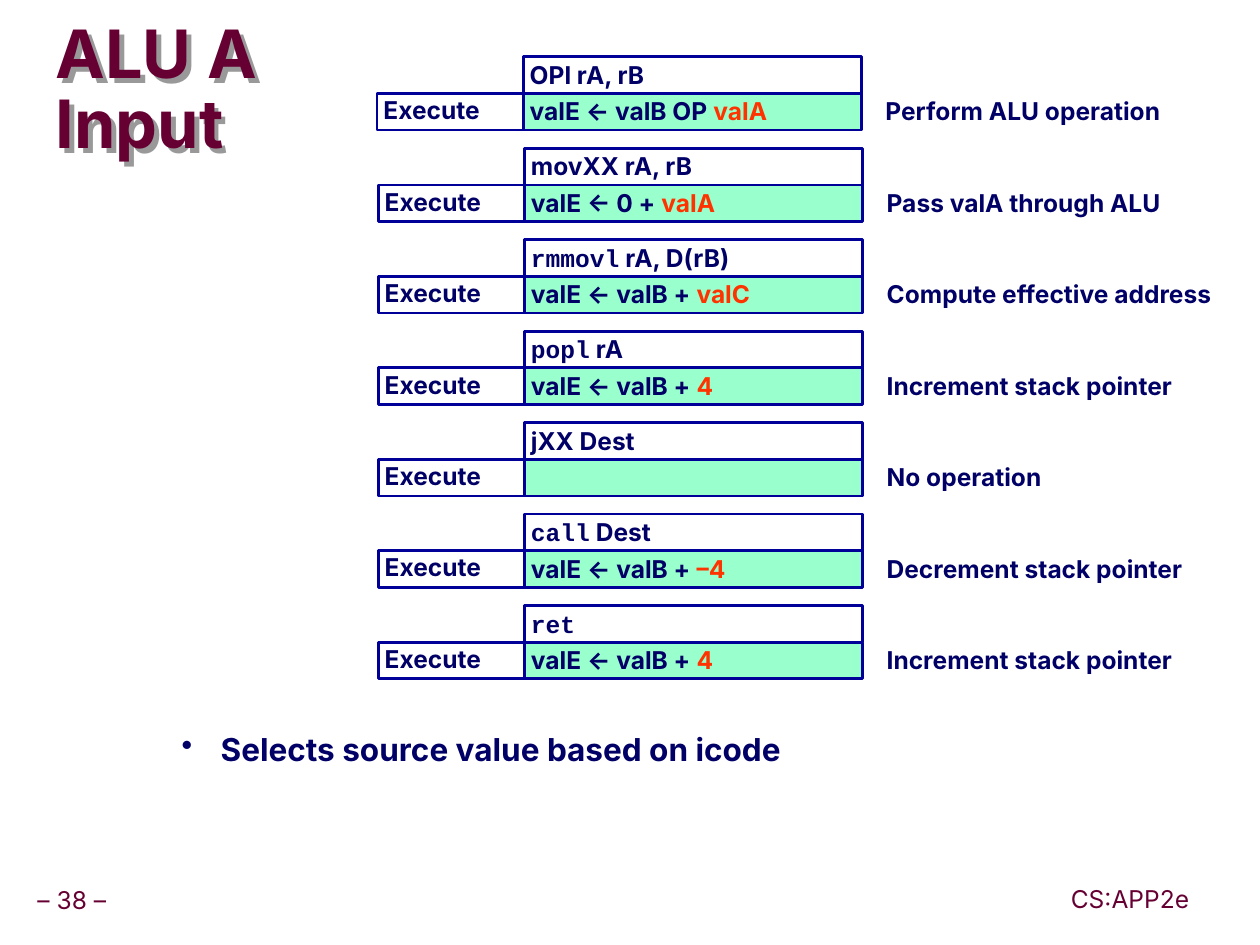
import pptx
import pptx.util
import pptx.dml.color
import pptx.enum.shapes
import pptx.enum.text
import lxml.etree

INK, ACCENT, MAROON = "000066", "FF3300", "660033"
BORDER, MINT, SHADE = "000099", "99FFCC", "999999"
SANS, MONO = "Inter", "Courier New"

STAGES = [
    ("", "OPl rA, rB", "valE ← valB OP ", "valA", "Perform ALU operation"),
    ("", "movXX rA, rB", "valE ← 0 + ", "valA", "Pass valA through ALU"),
    ("rmmovl", " rA, D(rB)", "valE ← valB + ", "valC", "Compute effective address"),
    ("popl", " rA", "valE ← valB + ", "4", "Increment stack pointer"),
    ("", "jXX Dest", "", "", "No operation"),
    ("call", " Dest", "valE ← valB + ", "–4", "Decrement stack pointer"),
    ("ret", "", "valE ← valB + ", "4", "Increment stack pointer"),
]
TITLE = ["ALU A", "Input"]
POINT = "Selects source value based on icode"
FOOTERS = [("– 38 –", 0.24, 6.99, 0.66), ("CS:APP2e", 8.44, 6.98, 1.04)]

WIDTH, HEIGHT = 9.99, 7.49
LEFT, TOP, PITCH, ROW = 3.0, 0.45, 0.725, 0.29
STAGE_WIDTH, WORK_WIDTH, NOTE_GAP = 1.16, 2.68, 0.14
WORK_LEFT = LEFT + STAGE_WIDTH
NOTE_LEFT = WORK_LEFT + WORK_WIDTH + NOTE_GAP

ANCHOR = pptx.enum.text.MSO_ANCHOR
ALIGN = pptx.enum.text.PP_ALIGN
NAMESPACE = "http://schemas.openxmlformats.org/drawingml/2006/main"


def color(value):
    return pptx.dml.color.RGBColor.from_string(value)


def assign(target, values):
    for name, value in values.items():
        setattr(target, name, value)


def add_node(parent, tag, **attributes):
    return lxml.etree.SubElement(parent, f"{{{NAMESPACE}}}{tag}", attributes)


def add_span(para, text, ink=INK, font=SANS, size=14, bold=True):
    span = para.add_run()
    span.text = text
    assign(span.font, {"name": font, "size": pptx.util.Pt(size), "bold": bold})
    span.font.color.rgb = color(ink)


def set_frame(box, inset=0.05, anchor=ANCHOR.TOP, align=ALIGN.LEFT,
              spacing=0.9, wrap=True):
    frame = box.text_frame
    margin = pptx.util.Inches(inset)
    assign(frame, {"margin_left": margin, "margin_right": margin,
                   "margin_top": margin, "margin_bottom": margin,
                   "vertical_anchor": anchor, "word_wrap": wrap})
    para = frame.paragraphs[0]
    assign(para, {"alignment": align, "line_spacing": spacing})
    return para


def add_text(page, left, top, width, height, **layout):
    box = page.shapes.add_textbox(*map(pptx.util.Inches, (left, top, width, height)))
    return box, set_frame(box, **layout)


def add_cell(page, left, top, width, fill=None, anchor=ANCHOR.TOP):
    box = page.shapes.add_shape(pptx.enum.shapes.MSO_SHAPE.RECTANGLE,
                                *map(pptx.util.Inches, (left, top, width, ROW)))
    box.shadow.inherit = False
    if fill:
        box.fill.solid()
        box.fill.fore_color.rgb = color(fill)
    else:
        box.fill.background()
    box.line.color.rgb = color(BORDER)
    box.line.width = pptx.util.Pt(1.5)
    return set_frame(box, anchor=anchor)


def add_title(page):
    box, para = add_text(page, 0.44, 0.31, 9.52, 0.85, inset=0,
                         anchor=ANCHOR.MIDDLE, spacing=0.87)
    for index, line in enumerate(TITLE):
        if index:
            para.add_line_break()
        add_span(para, line, MAROON, size=38)
    effects = add_node(box.element.spPr, "effectLst")
    shadow = add_node(effects, "outerShdw", dist="51000", dir="2700000", algn="ctr")
    add_node(shadow, "srgbClr", val=SHADE)


def add_stage(page, index, stage):
    command, operands, formula, operand, note = stage
    shift = 0 if index else -0.01
    top = TOP + index * PITCH
    below = top + ROW
    heading = add_cell(page, WORK_LEFT + shift, top, WORK_WIDTH)
    label = add_cell(page, LEFT + shift, below, STAGE_WIDTH, anchor=ANCHOR.MIDDLE)
    work = add_cell(page, WORK_LEFT + shift, below, WORK_WIDTH, MINT)
    remark = add_text(page, NOTE_LEFT + shift, below, WORK_WIDTH, ROW)[1]
    for para, text, ink, font in [
        (heading, command, INK, MONO), (heading, operands, INK, SANS),
        (label, "Execute", INK, SANS), (work, formula, INK, SANS),
        (work, operand, ACCENT, SANS), (remark, note, INK, SANS),
    ]:
        if text:
            add_span(para, text, ink, font)


def add_point(page):
    para = add_text(page, 1.39, 5.77, 4.92, 0.37)[1]
    indent = pptx.util.Inches(0.31)
    settings = para._p.get_or_add_pPr()
    settings.set("marL", str(indent))
    settings.set("indent", str(-indent))
    add_node(settings, "buChar", char="•")
    add_span(para, POINT, size=18)


def main():
    deck = pptx.Presentation()
    assign(deck, {"slide_width": pptx.util.Inches(WIDTH),
                  "slide_height": pptx.util.Inches(HEIGHT)})
    page = deck.slides.add_slide(deck.slide_layouts[6])
    add_title(page)
    for index, stage in enumerate(STAGES):
        add_stage(page, index, stage)
    add_point(page)
    for text, left, top, width in FOOTERS:
        para = add_text(page, left, top, width, 0.31, anchor=ANCHOR.MIDDLE,
                        align=ALIGN.CENTER, wrap=False)[1]
        add_span(para, text, MAROON, bold=False)
    deck.save("out.pptx")


if __name__ == "__main__":
    main()
